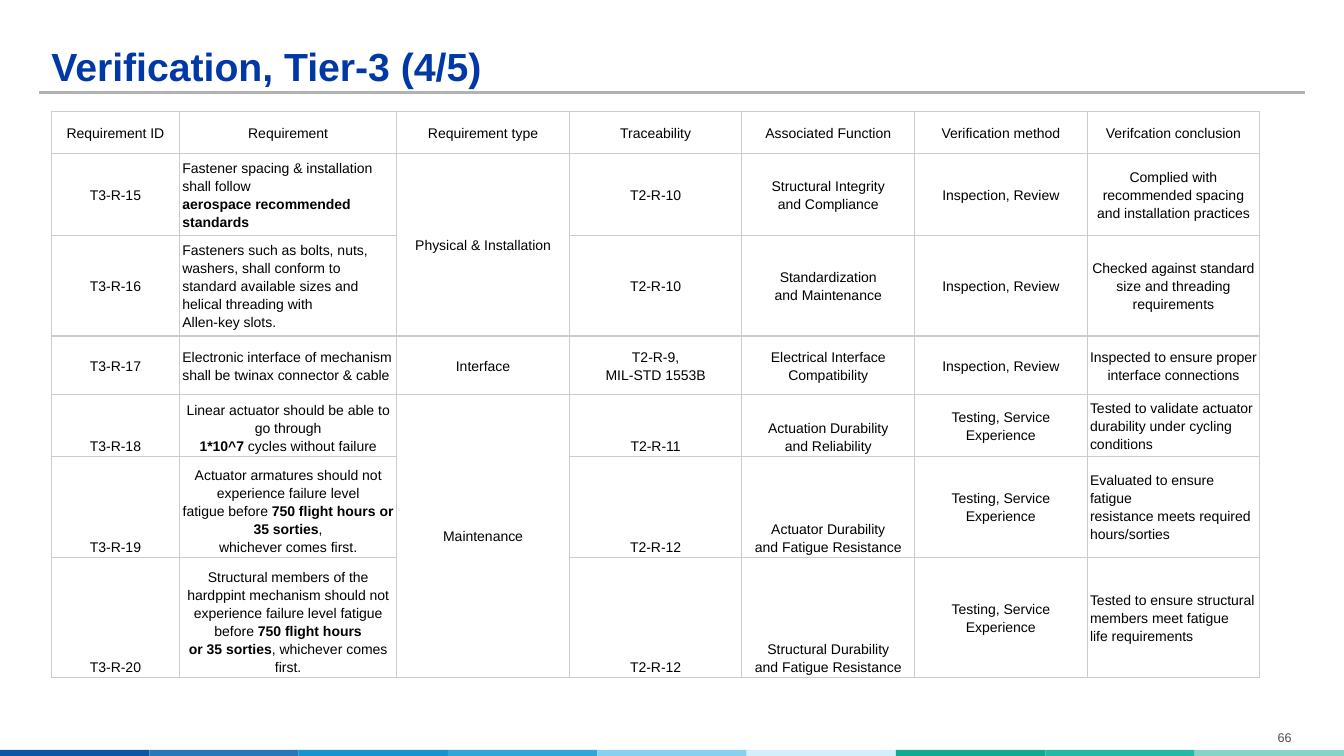
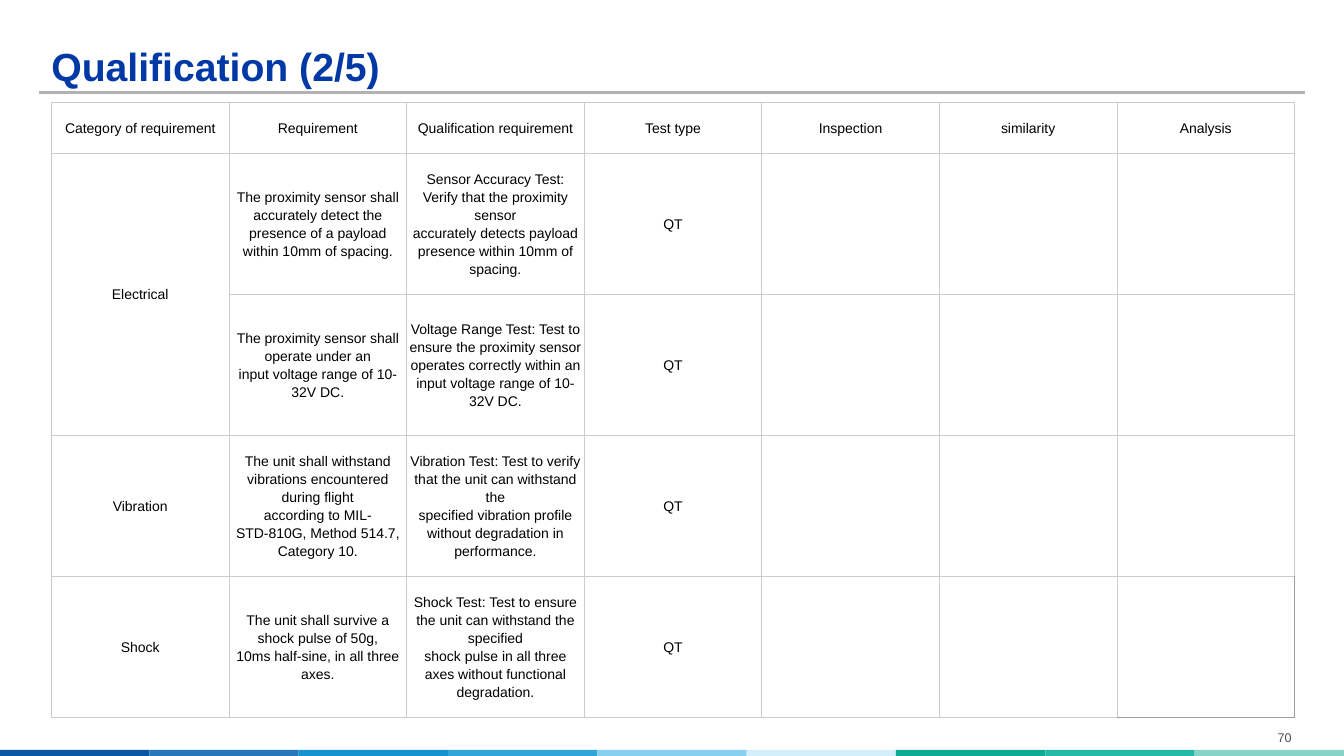
from dataclasses import dataclass

from lxml.etree import SubElement
from pptx import Presentation
from pptx.dml.color import RGBColor
from pptx.enum.shapes import MSO_CONNECTOR, MSO_SHAPE
from pptx.enum.text import MSO_ANCHOR, PP_ALIGN
from pptx.oxml import parse_xml
from pptx.oxml.ns import nsdecls, qn
from pptx.slide import Slide
from pptx.table import _Cell
from pptx.text.text import TextFrame, _Paragraph
from pptx.util import Pt


@dataclass(frozen=True)
class Theme:
    font: str = "Arial"
    title_color: str = "0039A6"
    text_color: str = "000000"
    number_color: str = "4F4F4F"
    rule_color: str = "B2B2B2"
    grid_color: str = "CCCCCC"
    corner_color: str = "9E9E9E"
    strip_colors: tuple[str, ...] = (
        "0B57A5", "2777BB", "1592D0", "2EA7D8", "87D0F0",
        "D2EFFB", "0EAB92", "24B9A6", "86D3C7",
    )
    title_size: float = 28
    table_size: float = 10
    number_size: float = 9


@dataclass(frozen=True)
class Grid:
    """A table: cell lines split at newlines, bold text between double asterisks."""
    top: float
    widths: list[float]
    heights: list[float]
    rows: list[list[str]]
    merges: list[tuple[int, int, int]]  # first row, last row, column
    line_width: float
    left_aligned: frozenset[tuple[int, int]] = frozenset()
    bottom_anchored: frozenset[tuple[int, int]] = frozenset()
    dark_corner: bool = False


@dataclass(frozen=True)
class Page:
    title: str
    number: str
    grid: Grid


THEME = Theme()
PAGE_WIDTH, PAGE_HEIGHT = 960, 540
MARGIN = 36.7
STRIP_TOP = 535.7


# Content
def cells(rows: range, columns: tuple[int, ...]) -> frozenset[tuple[int, int]]:
    return frozenset((row, column) for row in rows for column in columns)


VERIFICATION = Grid(
    top=79.6,
    widths=[91.5, 155.2] + [123.3] * 5,
    heights=[30.2, 54.6, 67.3, 41.6, 41.6, 67.3, 80.3],
    rows=[
        ["Requirement ID", "Requirement", "Requirement type", "Traceability",
         "Associated Function", "Verification method", "Verifcation conclusion"],
        ["T3-R-15",
         "Fastener spacing & installation shall follow\n**aerospace recommended standards**",
         "Physical & Installation", "T2-R-10", "Structural Integrity\nand Compliance",
         "Inspection, Review",
         "Complied with\nrecommended spacing\nand installation practices"],
        ["T3-R-16",
         "Fasteners such as bolts, nuts, washers, shall conform to\n"
         "standard available sizes and helical threading with\nAllen-key slots.",
         "", "T2-R-10", "Standardization\nand Maintenance", "Inspection, Review",
         "Checked against standard\nsize and threading\nrequirements"],
        ["T3-R-17",
         "Electronic interface of mechanism shall be twinax connector & cable",
         "Interface", "T2-R-9,\nMIL-STD 1553B", "Electrical Interface\nCompatibility",
         "Inspection, Review", "Inspected to ensure proper\ninterface connections"],
        ["T3-R-18",
         "Linear actuator should be able to go through\n**1*10^7** cycles without failure",
         "Maintenance", "T2-R-11", "Actuation Durability\nand Reliability",
         "Testing, Service Experience",
         "Tested to validate actuator\ndurability under cycling\nconditions"],
        ["T3-R-19",
         "Actuator armatures should not experience failure level\n"
         "fatigue before **750 flight hours or 35 sorties**,\nwhichever comes first.",
         "", "T2-R-12", "Actuator Durability\nand Fatigue Resistance",
         "Testing, Service Experience",
         "Evaluated to ensure fatigue\nresistance meets required\nhours/sorties"],
        ["T3-R-20",
         "Structural members of the hardppint mechanism should not\n"
         "experience failure level fatigue before **750 flight hours**\n"
         "**or 35 sorties**, whichever comes first.",
         "", "T2-R-12", "Structural Durability\nand Fatigue Resistance",
         "Testing, Service Experience",
         "Tested to ensure structural\nmembers meet fatigue\nlife requirements"],
    ],
    merges=[(1, 2, 2), (4, 6, 2)],
    line_width=0.94,
    left_aligned=cells(range(1, 4), (1,)) | cells(range(4, 7), (6,)),
    bottom_anchored=cells(range(4, 7), (0, 1, 3, 4)),
)

QUALIFICATION = Grid(
    top=73,
    widths=[126.86] * 7,
    heights=[36.2] + [100.8] * 4,
    rows=[
        ["Category of requirement", "Requirement", "Qualification requirement",
         "Test type", "Inspection", "similarity", "Analysis"],
        ["Electrical",
         "The proximity sensor shall accurately detect the\n"
         "presence of a payload within 10mm of spacing.",
         "Sensor Accuracy Test: Verify that the proximity sensor\n"
         "accurately detects payload presence within 10mm of spacing.", "QT"],
        ["",
         "The proximity sensor shall operate under an\ninput voltage range of 10-32V DC.",
         "Voltage Range Test: Test to ensure the proximity sensor\n"
         "operates correctly within an input voltage range of 10-32V DC.", "QT"],
        ["Vibration",
         "The unit shall withstand vibrations encountered during flight\n"
         "according to MIL-STD-810G, Method 514.7, Category 10.",
         "Vibration Test: Test to verify that the unit can withstand the\n"
         "specified vibration profile without degradation in performance.", "QT"],
        ["Shock",
         "The unit shall survive a shock pulse of 50g,\n10ms half-sine, in all three axes.",
         "Shock Test: Test to ensure the unit can withstand the specified\n"
         "shock pulse in all three axes without functional degradation.", "QT"],
    ],
    merges=[(1, 2, 0)],
    line_width=0.6,
    dark_corner=True,
)

PAGES = [
    Page("Verification, Tier-3 (4/5)", "66", VERIFICATION),
    Page("Qualification (2/5)", "70", QUALIFICATION),
]


# Text
def style_spans(para: _Paragraph, size: float, color: str, bold: bool = False) -> None:
    for span in para.runs:
        span.font.name = THEME.font
        span.font.size = Pt(size)
        span.font.bold = bold or bool(span.font.bold)
        span.font.color.rgb = RGBColor.from_string(color)


def write_marked(para: _Paragraph, marked: str) -> None:
    for index, piece in enumerate(marked.split("**")):
        if piece:
            span = para.add_run()
            span.text = piece
            span.font.bold = index % 2 == 1


def add_label(page: Slide, text: str, left: float, top: float, width: float,
              height: float, inset: tuple[float, float] = (0, 0)) -> TextFrame:
    frame = page.shapes.add_textbox(Pt(left), Pt(top), Pt(width), Pt(height)).text_frame
    frame.word_wrap = True
    frame.margin_left = frame.margin_right = Pt(inset[0])
    frame.margin_top = frame.margin_bottom = Pt(inset[1])
    frame.text = text
    return frame


# Shared slide furniture
def add_frame(page: Slide, title: str, number: str) -> None:
    step = PAGE_WIDTH / len(THEME.strip_colors)
    for index, color in enumerate(THEME.strip_colors):
        strip = page.shapes.add_shape(
            MSO_SHAPE.RECTANGLE, Pt(index * step), Pt(STRIP_TOP),
            Pt(step), Pt(PAGE_HEIGHT - STRIP_TOP))
        strip.shadow.inherit = False
        strip.fill.solid()
        strip.fill.fore_color.rgb = RGBColor.from_string(color)
        strip.line.fill.background()

    rule = page.shapes.add_connector(
        MSO_CONNECTOR.STRAIGHT, Pt(28), Pt(66.2), Pt(932.3), Pt(66.2))
    rule.line.color.rgb = RGBColor.from_string(THEME.rule_color)
    rule.line.width = Pt(2.25)
    SubElement(rule._element.spPr, qn("a:effectLst"))

    frame = add_label(page, title, MARGIN, 13.7, 888, 50.4)
    frame.vertical_anchor = MSO_ANCHOR.BOTTOM
    frame.paragraphs[0].line_spacing = 0.9
    style_spans(frame.paragraphs[0], THEME.title_size, THEME.title_color, bold=True)

    frame = add_label(page, number, 887.6, 517.7, 60, 18.7, inset=(7.2, 3.6))
    frame.paragraphs[0].alignment = PP_ALIGN.CENTER
    style_spans(frame.paragraphs[0], THEME.number_size, THEME.number_color)


# Tables
def set_borders(cell: _Cell, sides: dict[str, tuple[str, float]]) -> None:
    properties = cell._tc.get_or_add_tcPr()
    for index, (side, (color, width)) in enumerate(sides.items()):
        properties.insert(index, parse_xml(
            f'<a:ln{side} {nsdecls("a")} w="{Pt(width)}"><a:solidFill>'
            f'<a:srgbClr val="{color}"/></a:solidFill></a:ln{side}>'))


def fill_cell(cell: _Cell, text: str, left_aligned: bool, bottom_anchored: bool) -> None:
    cell.vertical_anchor = MSO_ANCHOR.BOTTOM if bottom_anchored else MSO_ANCHOR.MIDDLE
    frame = cell.text_frame
    for index, line in enumerate(text.split("\n")):
        para = frame.add_paragraph() if index else frame.paragraphs[0]
        write_marked(para, line)
        para.alignment = PP_ALIGN.LEFT if left_aligned else PP_ALIGN.CENTER
        para.line_spacing = 1.15
        style_spans(para, THEME.table_size, THEME.text_color)


def add_grid(page: Slide, grid: Grid) -> None:
    last_row, last_column = len(grid.heights) - 1, len(grid.widths) - 1
    table = page.shapes.add_table(
        last_row + 1, last_column + 1, Pt(MARGIN), Pt(grid.top),
        Pt(sum(grid.widths)), Pt(sum(grid.heights))).table
    table.first_row = table.horz_banding = False
    for column, width in zip(table.columns, grid.widths):
        column.width = Pt(width)
    for row, height in zip(table.rows, grid.heights):
        row.height = Pt(height)

    for row in range(last_row + 1):
        for column in range(last_column + 1):
            cell = table.cell(row, column)
            cell.fill.background()
            cell.margin_left = cell.margin_right = Pt(2.1)
            cell.margin_top = cell.margin_bottom = Pt(1.5)
            sides = dict.fromkeys("LRTB", (THEME.grid_color, grid.line_width))
            if grid.dark_corner and (row, column) == (last_row, last_column):
                sides.update(dict.fromkeys("RB", (THEME.corner_color, 0.75)))
            set_borders(cell, sides)
            texts = grid.rows[row]
            if column < len(texts) and texts[column]:
                fill_cell(cell, texts[column], (row, column) in grid.left_aligned,
                          (row, column) in grid.bottom_anchored)

    for first, last, column in grid.merges:
        table.cell(first, column).merge(table.cell(last, column))


def main() -> None:
    deck = Presentation()
    deck.slide_width, deck.slide_height = Pt(PAGE_WIDTH), Pt(PAGE_HEIGHT)
    for content in PAGES:
        page = deck.slides.add_slide(deck.slide_layouts[6])
        add_frame(page, content.title, content.number)
        add_grid(page, content.grid)
    deck.save("out.pptx")


if __name__ == "__main__":
    main()
